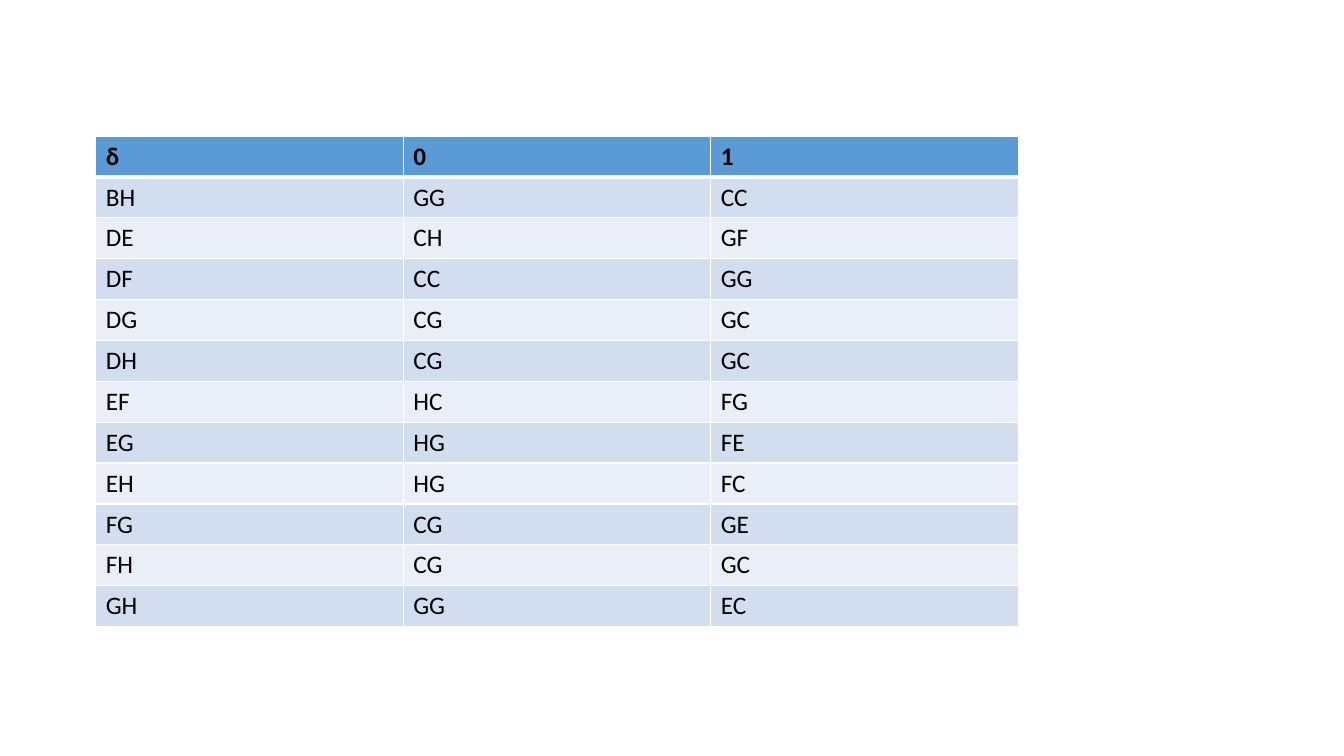
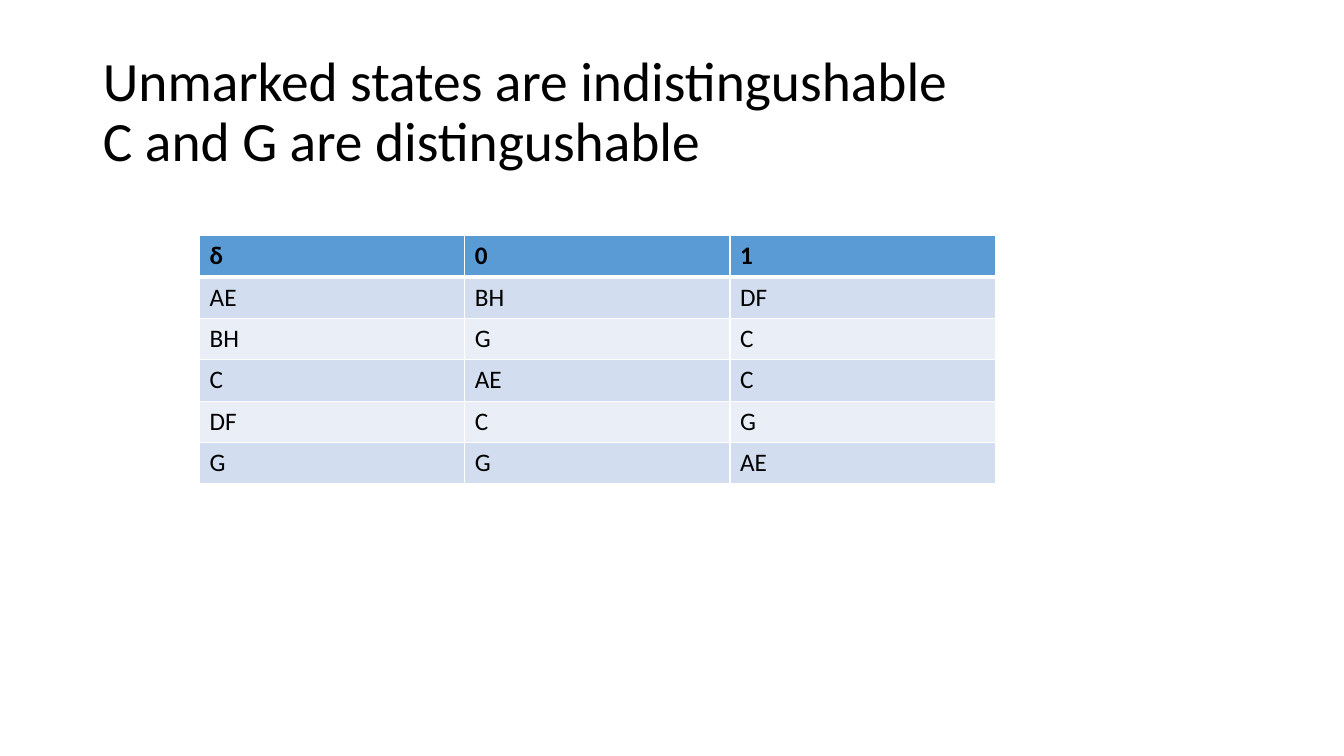
from lxml import etree
from pptx import Presentation
from pptx.dml.color import RGBColor
from pptx.enum.text import MSO_ANCHOR, MSO_AUTO_SIZE, PP_ALIGN
from pptx.oxml.ns import qn
from pptx.util import Inches, Pt

MIDDLE = MSO_ANCHOR.MIDDLE
FIXED = MSO_AUTO_SIZE.NONE
LEFT = PP_ALIGN.LEFT

BLACK = RGBColor(0x00, 0x00, 0x00)
WHITE = RGBColor(0xFF, 0xFF, 0xFF)
BLUE = RGBColor(0x5B, 0x9B, 0xD5)
BANDS = (RGBColor(0xD2, 0xDE, 0xEF), RGBColor(0xEA, 0xEF, 0xF7))
FONT = "Calibri"

TITLE_ONLY, BLANK = 5, 6
HEAD = "δ 0 1"
PAIRS = (HEAD, "BH GG CC", "DE CH GF", "DF CC GG", "DG CG GC", "DH CG GC",
         "EF HC FG", "EG HG FE", "EH HG FC", "FG CG GE", "FH CG GC", "GH GG EC")
MERGED = (HEAD, "AE BH DF", "BH G C", "C AE C", "DF C G", "G G AE")


def write(frame, text, size=18, bold=False, color=BLACK, space=1.0):
    """Put formatted text into a text frame."""
    para = frame.paragraphs[0]
    para.text = text
    para.alignment = LEFT
    para.line_spacing = space
    for run in para.runs:
        font = run.font
        font.name, font.size, font.bold = FONT, Pt(size), bold
        font.color.rgb = color


def border(cell, **widths):
    """Draw white cell borders, with widths in points by side."""
    props = cell._tc.get_or_add_tcPr()
    for side in "LRTB":
        line = etree.SubElement(props, qn(f"a:ln{side}"), w=str(Pt(widths.get(side, 1))))
        fill = etree.SubElement(line, qn("a:solidFill"))
        etree.SubElement(fill, qn("a:srgbClr"), val=str(WHITE))


class Deck:
    """Hold the presentation style and the current slide."""

    def __init__(self):
        """Start a wide presentation."""
        self.prs = Presentation()
        self.prs.slide_width, self.prs.slide_height = Inches(13.33), Inches(7.5)
        self.slide = None

    def add(self, layout):
        """Start a new slide on a white ground."""
        self.slide = self.prs.slides.add_slide(self.prs.slide_layouts[layout])
        fill = self.slide.background.fill
        fill.solid()
        fill.fore_color.rgb = WHITE

    def title(self, text):
        """Place and fill the title."""
        shape = self.slide.shapes.title
        shape.left, shape.top = Inches(0.92), Inches(0.4)
        shape.width, shape.height = Inches(11.5), Inches(1.45)
        frame = shape.text_frame
        frame.word_wrap, frame.auto_size = True, FIXED
        frame.vertical_anchor = MIDDLE
        write(frame, text, size=39.6, space=0.9)

    def table(self, rows, left, top, width, height):
        """Add a banded table with a header row and equal columns."""
        cells = [row.split() for row in rows]
        count = len(cells[0])
        grid = self.slide.shapes.add_table(
            len(cells), count, Inches(left), Inches(top),
            Inches(width * count), Inches(height * len(cells))).table
        for r, row in enumerate(cells):
            head = r == 0
            for c, text in enumerate(row):
                cell = grid.cell(r, c)
                border(cell, T=3 if r == 1 else 1, B=3 if head else 1)
                cell.fill.solid()
                cell.fill.fore_color.rgb = BLUE if head else BANDS[(r - 1) % 2]
                write(cell.text_frame, text, bold=head)


def main():
    """Build and save both slides."""
    deck = Deck()
    deck.add(BLANK)
    deck.table(PAIRS, 0.95, 1.35, 3.05, 0.4)
    deck.add(TITLE_ONLY)
    deck.title("Unmarked states are indistingushable \nC and G are distingushable")
    deck.table(MERGED, 1.98, 2.34, 2.63, 0.41)
    deck.prs.save("out.pptx")


if __name__ == "__main__":
    main()
